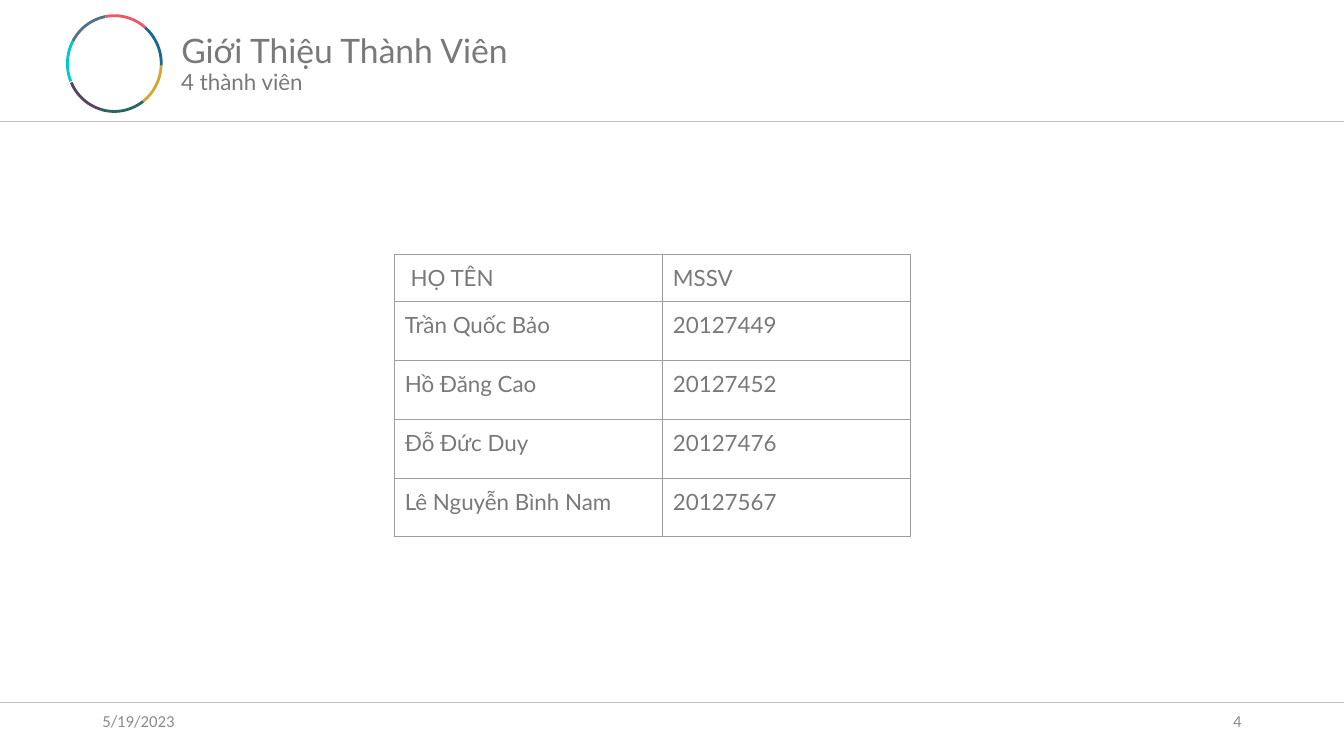
from lxml import etree
from pptx import Presentation
from pptx.dml.color import RGBColor
from pptx.enum.shapes import MSO_CONNECTOR, MSO_SHAPE
from pptx.enum.text import MSO_ANCHOR, PP_ALIGN
from pptx.oxml.ns import qn
from pptx.util import Pt

ARC = MSO_SHAPE.ARC
STRAIGHT = MSO_CONNECTOR.STRAIGHT
TOP, MIDDLE = MSO_ANCHOR.TOP, MSO_ANCHOR.MIDDLE
LEFT, RIGHT = PP_ALIGN.LEFT, PP_ALIGN.RIGHT

SLIDE_WIDTH, SLIDE_HEIGHT = 960, 540
TEXT_GRAY = RGBColor(0x79, 0x79, 0x79)
FOOTER_GRAY = RGBColor(0x8C, 0x8C, 0x8C)
RULE_GRAY = RGBColor(0xBF, 0xBF, 0xBF)
BORDER_GRAY = RGBColor(0x9E, 0x9E, 0x9E)

# Ring segments clockwise: start and end in degrees, colour
RING = [
    (2.1, 52.8, RGBColor(0xD6, 0xA6, 0x33)),
    (52.8, 106.4, RGBColor(0x29, 0x67, 0x5C)),
    (106.4, 156.2, RGBColor(0x57, 0x45, 0x63)),
    (157.6, 208.7, RGBColor(0x01, 0xC9, 0xCB)),
    (208.7, 259.2, RGBColor(0x54, 0x72, 0x87)),
    (259.2, 310.8, RGBColor(0xF0, 0x55, 0x68)),
    (310.8, 2.1, RGBColor(0x1A, 0x68, 0x93)),
]
ARC_UNITS_PER_DEGREE = 0.6

MEMBERS = [
    ("\u00a0HỌ TÊN", "MSSV"),
    ("Trần Quốc Bảo", "20127449"),
    ("Hồ Đăng Cao", "20127452"),
    ("Đỗ Đức Duy", "20127476"),
    ("Lê Nguyễn Bình Nam", "20127567"),
]
COLUMN_WIDTHS = (191.5, 177)
HEADER_HEIGHT, MEMBER_HEIGHT = 34, 42
CELL_MARGIN = 7.2


def add_run(paragraph, text, size, font, color):
    run = paragraph.add_run()
    run.text = text
    run.font.size = Pt(size)
    run.font.name = font
    run.font.color.rgb = color


def add_text(slide, box, text, size, font="Lato", color=TEXT_GRAY,
             anchor=TOP, align=LEFT):
    shape = slide.shapes.add_textbox(*map(Pt, box))
    frame = shape.text_frame
    frame.word_wrap = True
    frame.vertical_anchor = anchor
    paragraph = frame.paragraphs[0]
    paragraph.alignment = align
    add_run(paragraph, text, size, font, color)


def add_ring(slide, left, top, width, height):
    group = slide.shapes.add_group_shape()
    for start, end, color in RING:
        shape = group.shapes.add_shape(ARC, Pt(left), Pt(top), Pt(width), Pt(height))
        shape.adjustments[0] = start * ARC_UNITS_PER_DEGREE * 1.0
        shape.adjustments[1] = end * ARC_UNITS_PER_DEGREE
        shape.shadow.inherit = False
        shape.fill.background()
        shape.line.color.rgb = color
        shape.line.width = Pt(2)


def add_rule(slide, y):
    rule = slide.shapes.add_connector(STRAIGHT, 0, Pt(y), Pt(SLIDE_WIDTH), Pt(y))
    rule.line.color.rgb = RULE_GRAY
    rule.line.width = Pt(0.5)
    etree.SubElement(rule._element.spPr, qn("a:effectLst"))


def add_borders(cell):
    properties = cell._tc.get_or_add_tcPr()
    for side in ("a:lnL", "a:lnR", "a:lnT", "a:lnB"):
        border = etree.SubElement(properties, qn(side), w=str(Pt(0.75)))
        fill = etree.SubElement(border, qn("a:solidFill"))
        etree.SubElement(fill, qn("a:srgbClr"), val=str(BORDER_GRAY))


def add_member_table(slide, left, top):
    heights = [HEADER_HEIGHT] + [MEMBER_HEIGHT] * (len(MEMBERS) - 1)
    table_frame = slide.shapes.add_table(
        len(MEMBERS), len(COLUMN_WIDTHS), Pt(left), Pt(top),
        Pt(sum(COLUMN_WIDTHS)), Pt(sum(heights)))
    table = table_frame.table
    table.first_row = False
    table.horz_banding = False
    for column, width in zip(table.columns, COLUMN_WIDTHS):
        column.width = Pt(width)
    for row, height, member in zip(table.rows, heights, MEMBERS):
        row.height = Pt(height)
        for cell, text in zip(row.cells, member):
            cell.margin_left = cell.margin_right = Pt(CELL_MARGIN)
            cell.margin_top = cell.margin_bottom = Pt(CELL_MARGIN)
            add_borders(cell)
            cell.fill.background()
            add_run(cell.text_frame.paragraphs[0], text, 16, "Lato", TEXT_GRAY)


def main():
    presentation = Presentation()
    presentation.slide_width = Pt(SLIDE_WIDTH)
    presentation.slide_height = Pt(SLIDE_HEIGHT)
    slide = presentation.slides.add_slide(presentation.slide_layouts[6])

    # Header
    add_text(slide, (122.4, 18, 252.7, 36), "Giới Thiệu Thành Viên", 24)
    add_ring(slide, 48.2, 11.2, 67, 68.4)
    add_text(slide, (122.4, 45.4, 172.8, 26.6), "4 thành viên", 16)
    add_rule(slide, 87)

    # Footer
    add_rule(slide, 501.7)
    for left, text, align in ((678, "4", RIGHT), (66, "5/19/2023", LEFT)):
        add_text(slide, (left, 500.5, 216, 28.8), text, 12, "Calibri",
                 FOOTER_GRAY, MIDDLE, align)

    # Members
    add_member_table(slide, 282, 181.5)

    presentation.save("out.pptx")


main()
